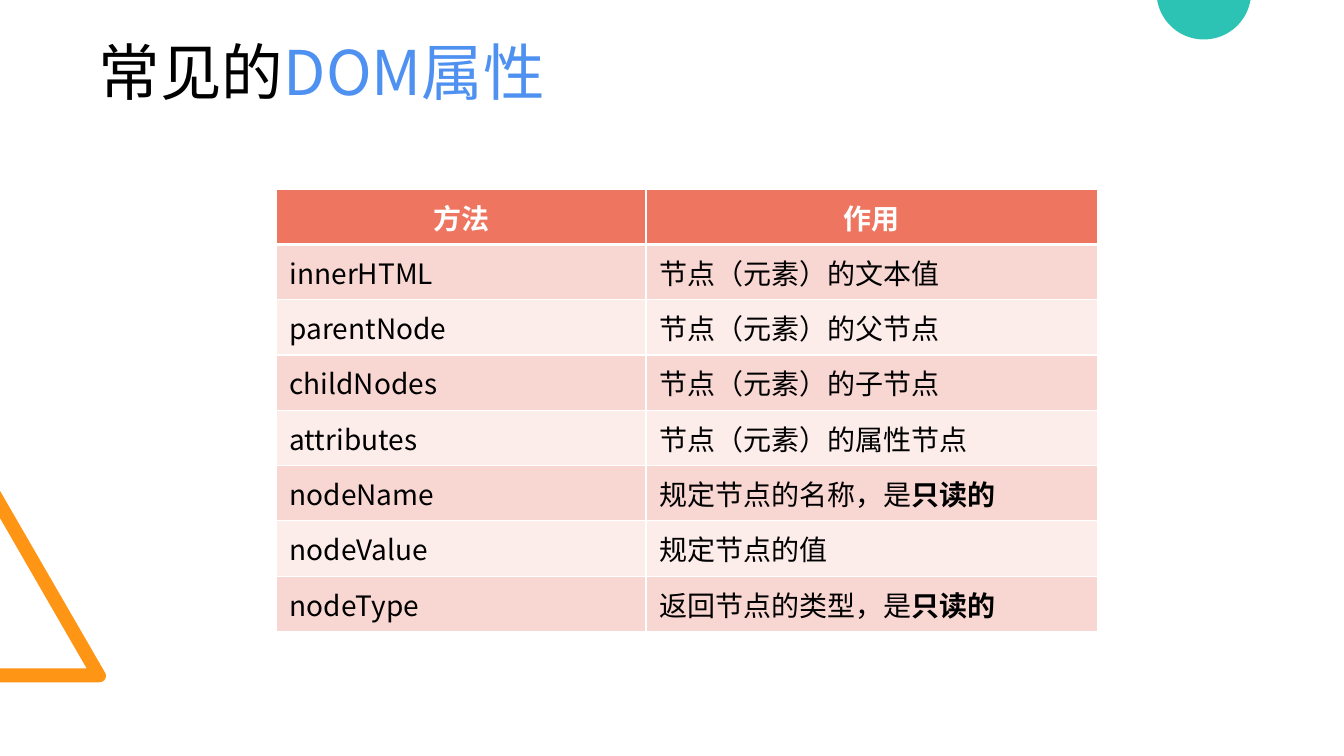
import math
from dataclasses import dataclass

from lxml import etree
from pptx import Presentation
from pptx import util as u
from pptx.dml.color import RGBColor
from pptx.enum import text
from pptx.oxml.ns import qn

TITLE = [("常见的", "ink"), ("DOM属性", "accent")]
HEADER = ("方法", "作用")
READ_ONLY = "只读的"
ROWS = [
    ("innerHTML", "节点（元素）的文本值"),
    ("parentNode", "节点（元素）的父节点"),
    ("childNodes", "节点（元素）的子节点"),
    ("attributes", "节点（元素）的属性节点"),
    ("nodeName", "规定节点的名称，是", READ_ONLY),
    ("nodeValue", "规定节点的值"),
    ("nodeType", "返回节点的类型，是", READ_ONLY),
]

# Lengths in points
SLIDE = (960, 540)
TITLE_BOX = (61.2, 20.9, 539.3, 60.5)
TABLE_AT = (197.5, 135.5)
COL_WIDTHS = (264, 322.5)
HEADER_HEIGHT, ROW_HEIGHT = 35.3, 39.5
INSET_X, INSET_Y = 9.36, 5.04
TRIANGLE = [(0, 487.4), (0, 477.4), (61.9, 477.4), (0, 370.1), (0, 350.6), (74.9, 480.2),
            (75.5, 481.4), (75.8, 482.6), (75.5, 484.2), (74.6, 485.9), (73, 487), (70.9, 487.4)]
CIRCLE_CENTRE, CIRCLE_RADIUS = (859.9, -5.6), 33.8
ARC_STEPS = 48


@dataclass
class Theme:
    font: str = "Noto Sans CJK SC"
    ink: str = "000000"
    white: str = "FFFFFF"
    accent: str = "4E91F0"
    orange: str = "FF9514"
    teal: str = "2CC3B4"
    header: str = "EE7661"
    bands: tuple = ("F8D6D2", "FCECEA")
    title_size: int = 44
    table_size: int = 20
    line: int = 1
    header_line: int = 3


T = Theme()


def rgb(value):
    return RGBColor.from_string(value)


def set_font(font, size, color=T.ink, bold=False):
    """Format Latin and East Asian text alike."""
    font.name, font.size, font.bold = T.font, u.Pt(size), bold
    font.color.rgb = rgb(color)
    latin = font._element.find(qn("a:latin"))
    ea = etree.Element(qn("a:ea"), typeface=T.font)
    latin.addnext(ea)


def set_insets(frame, x, y):
    frame.margin_left = frame.margin_right = u.Pt(x)
    frame.margin_top = frame.margin_bottom = u.Pt(y)


def add_outline(s, points, color):
    """Draw a closed, filled polygon on a grid of 0.01 pt."""
    grid = [(x * 100, y * 100) for x, y in points]
    builder = s.shapes.build_freeform(*grid[0], scale=u.Pt(0.01))
    builder.add_line_segments(grid[1:], close=True)
    sp = builder.convert_to_shape()
    sp.shadow.inherit = False
    sp.fill.solid()
    sp.fill.fore_color.rgb = rgb(color)
    sp.line.fill.background()


def circle_below_edge():
    """Points of the part of the circle below the slide's top edge."""
    cx, cy = CIRCLE_CENTRE
    start = math.asin(-cy / CIRCLE_RADIUS)
    angles = [start + (math.pi - 2 * start) * i / ARC_STEPS for i in range(ARC_STEPS + 1)]
    return [(cx + CIRCLE_RADIUS * math.cos(a), cy + CIRCLE_RADIUS * math.sin(a)) for a in angles]


def set_borders(cell, top, bottom):
    tc_pr = cell._tc.get_or_add_tcPr()
    widths = {"lnL": T.line, "lnR": T.line, "lnT": top, "lnB": bottom}
    for i, (tag, width) in enumerate(widths.items()):
        ln = etree.Element(qn("a:" + tag), w=str(u.Pt(width)))
        fill = etree.SubElement(ln, qn("a:solidFill"))
        etree.SubElement(fill, qn("a:srgbClr"), val=T.white)
        tc_pr.insert(i, ln)


def fill_cell(cell, parts, row):
    is_header = row == 0
    cell.fill.solid()
    cell.fill.fore_color.rgb = rgb(T.header if is_header else T.bands[(row - 1) % 2])
    set_insets(cell, INSET_X, INSET_Y)
    cell.vertical_anchor = text.MSO_ANCHOR.TOP if is_header else text.MSO_ANCHOR.MIDDLE
    set_borders(cell, T.header_line if row == 1 else T.line,
                T.header_line if is_header else T.line)
    p = cell.text_frame.paragraphs[0]
    p.alignment = text.PP_ALIGN.CENTER if is_header else text.PP_ALIGN.LEFT
    for part in parts:
        r = p.add_run()
        r.text = part
        set_font(r.font, T.table_size, T.white if is_header else T.ink,
                 is_header or part == READ_ONLY)


def add_title(s):
    sp = s.shapes.title
    sp.left, sp.top, sp.width, sp.height = map(u.Pt, TITLE_BOX)
    tf = sp.text_frame
    tf.auto_size = text.MSO_AUTO_SIZE.NONE
    tf.word_wrap = True
    tf.vertical_anchor = text.MSO_ANCHOR.TOP
    set_insets(tf, INSET_X, INSET_X)
    p = tf.paragraphs[0]
    p.alignment, p.line_spacing = text.PP_ALIGN.LEFT, 0.9
    for words, color in TITLE:
        r = p.add_run()
        r.text = words
        set_font(r.font, T.title_size, getattr(T, color))


def add_property_table(s):
    heights = [HEADER_HEIGHT] + [ROW_HEIGHT] * len(ROWS)
    box = (*TABLE_AT, sum(COL_WIDTHS), sum(heights))
    table = s.shapes.add_table(len(heights), len(COL_WIDTHS), *map(u.Pt, box)).table
    for column, width in zip(table.columns, COL_WIDTHS):
        column.width = u.Pt(width)
    for i, (height, (name, *effect)) in enumerate(zip(heights, [HEADER, *ROWS])):
        table.rows[i].height = u.Pt(height)
        fill_cell(table.cell(i, 0), [name], i)
        fill_cell(table.cell(i, 1), effect, i)


def main():
    prs = Presentation()
    prs.slide_width, prs.slide_height = map(u.Pt, SLIDE)
    s = prs.slides.add_slide(prs.slide_layouts[5])
    add_outline(s, TRIANGLE, T.orange)
    add_outline(s, circle_below_edge(), T.teal)
    add_title(s)
    add_property_table(s)
    prs.save("out.pptx")


if __name__ == "__main__":
    main()
